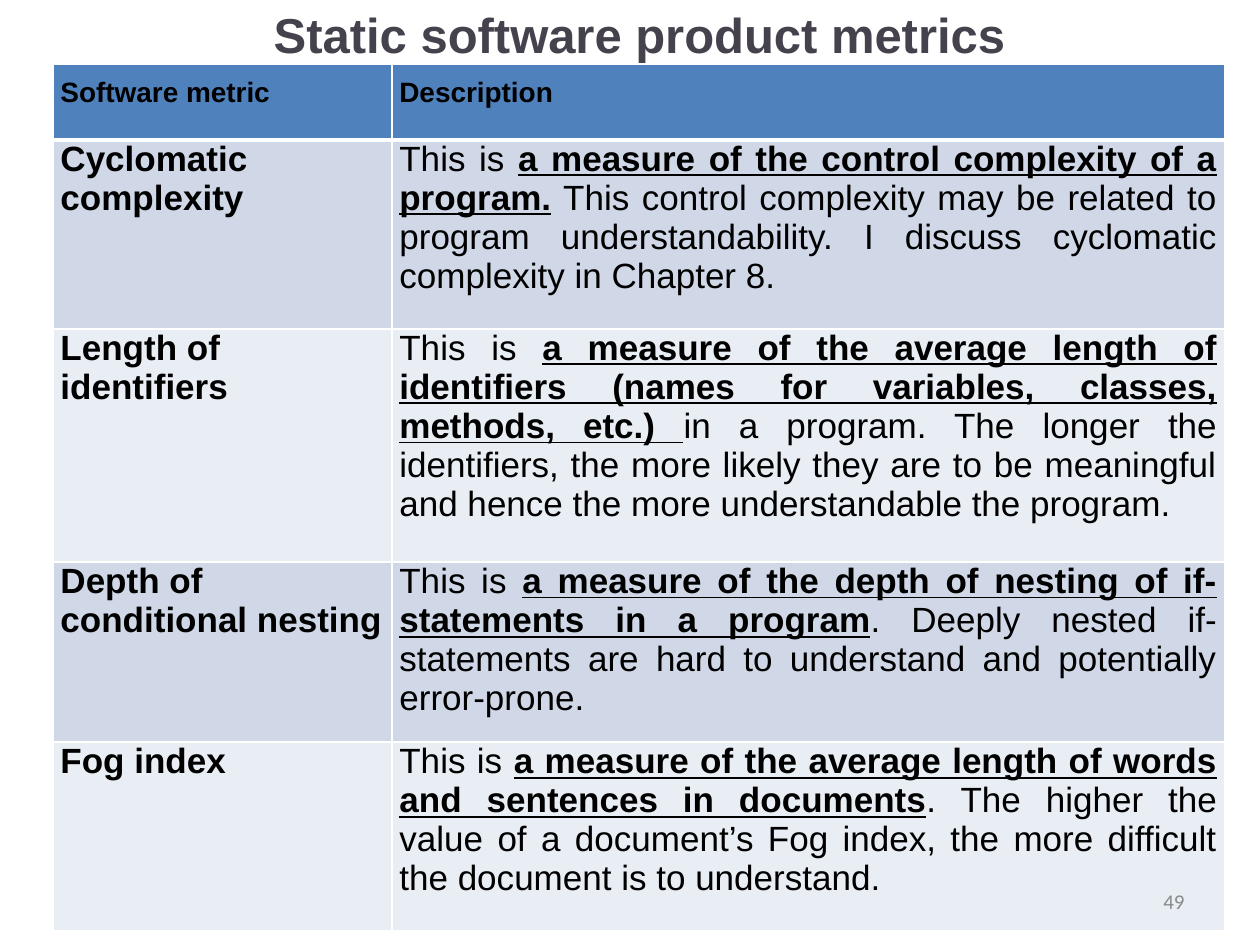
from dataclasses import dataclass
from typing import Any

from lxml import etree
from pptx import Presentation
from pptx.dml.color import RGBColor
from pptx.enum import text
from pptx.oxml import ns
from pptx.util import Inches, Pt

COLORS = {
    "title": "46424D", "body": "000000", "number": "898989", "border": "FFFFFF",
    "header": "4F81BD", "odd": "D0D8E8", "even": "E9EDF4",
}
PLAIN = {"bold": False, "underline": False}
BOLD = {"bold": True}
KEY = {"bold": True, "underline": True}
ALIGN = text.PP_ALIGN

COLUMN_WIDTHS = [2.69, 6.61]
ROW_HEIGHTS = [0.6, 1.5, 1.85, 1.43, 1.5]
HEADINGS = ["Software metric", "Description"]
# Metric, underlined definition, remaining explanation
METRICS = [
    ("Cyclomatic complexity",
     "a measure of the control complexity of a program.",
     " This control complexity may be related to program understandability. "
     "I discuss cyclomatic complexity in Chapter 8."),
    ("Length of identifiers",
     "a measure of the average length of identifiers (names for variables, "
     "classes, methods, etc.) ",
     "in a program. The longer the identifiers, the more likely they are to be "
     "meaningful and hence the more understandable the program."),
    ("Depth of conditional nesting",
     "a measure of the depth of nesting of if-statements in a program",
     ". Deeply nested if-statements are hard to understand and potentially "
     "error-prone."),
    ("Fog index",
     "a measure of the average length of words and sentences in documents",
     ". The higher the value of a document’s Fog index, the more difficult the "
     "document is to understand."),
]


@dataclass
class SlideBuilder:
    slide: Any
    font: str = "Arial"

    def add_runs(self, frame, runs, size, color, align, font=None):
        frame.word_wrap = True
        paragraph = frame.paragraphs[0]
        paragraph.alignment = align
        for words, style in runs:
            run = paragraph.add_run()
            run.text = words
            formats = {"name": font or self.font, "size": Pt(size), **style}
            for key, value in formats.items():
                setattr(run.font, key, value)
            run.font.color.rgb = RGBColor.from_string(COLORS[color])

    def place(self, shape, left, top, width, height):
        box = {"left": left, "top": top, "width": width, "height": height}
        for key, value in box.items():
            setattr(shape, key, Inches(value))

    def title(self, words, *box):
        heading = self.slide.shapes.title
        self.place(heading, *box)
        heading.text_frame.auto_size = text.MSO_AUTO_SIZE.NONE
        heading.text_frame.vertical_anchor = text.MSO_ANCHOR.MIDDLE
        self.add_runs(heading.text_frame, [(words, BOLD)], 28, "title", ALIGN.CENTER)

    def label(self, words, *box):
        number = self.slide.shapes.add_textbox(*map(Inches, box))
        number.text_frame.vertical_anchor = text.MSO_ANCHOR.MIDDLE
        self.add_runs(number.text_frame, [(words, PLAIN)], 12, "number",
                      ALIGN.RIGHT, "Calibri")

    def table(self, left, top, widths, heights):
        grid = self.slide.shapes.add_table(
            len(heights), len(widths), Inches(left), Inches(top),
            Inches(sum(widths)), Inches(sum(heights))).table
        for column, width in zip(grid.columns, widths):
            column.width = Inches(width)
        for row, height in zip(grid.rows, heights):
            row.height = Inches(height)
        return grid

    def cell(self, cell, runs, size, fill, align, top=0.0, bottom_line=1):
        margins = {"left": 0.06, "top": top, "right": 0.06, "bottom": 0.1}
        for side, value in margins.items():
            setattr(cell, f"margin_{side}", Inches(value))
        self.add_runs(cell.text_frame, runs, size, "body", align)
        cell.fill.solid()
        cell.fill.fore_color.rgb = RGBColor.from_string(COLORS[fill])
        # Borders come before the fill in the cell properties
        properties = cell._tc.get_or_add_tcPr()
        lines = {"L": 1, "R": 1, "T": 1, "B": bottom_line}
        for index, (side, width) in enumerate(lines.items()):
            line = etree.Element(ns.qn(f"a:ln{side}"), w=str(Pt(width)))
            solid = etree.SubElement(line, ns.qn("a:solidFill"))
            etree.SubElement(solid, ns.qn("a:srgbClr"), val=COLORS["border"])
            properties.insert(index, line)


def main():
    deck = Presentation()
    deck.slide_width, deck.slide_height = Inches(10), Inches(7.5)
    builder = SlideBuilder(deck.slides.add_slide(deck.slide_layouts[5]))

    builder.title("Static software product metrics", 0.43, 0.02, 9.29, 0.5)

    # Metrics table: header row, then banded rows
    grid = builder.table(0.42, 0.51, COLUMN_WIDTHS, ROW_HEIGHTS)
    for column, heading in enumerate(HEADINGS):
        builder.cell(grid.cell(0, column), [(heading, BOLD)], 16, "header",
                     ALIGN.JUSTIFY, top=0.1, bottom_line=3)
    for row, (metric, definition, explanation) in enumerate(METRICS, 1):
        band = "odd" if row % 2 else "even"
        description = [("This is ", PLAIN), (definition, KEY), (explanation, PLAIN)]
        builder.cell(grid.cell(row, 0), [(metric, BOLD)], 20, band, ALIGN.LEFT)
        builder.cell(grid.cell(row, 1), description, 20, band, ALIGN.JUSTIFY)

    # Slide number
    builder.label("49", 7.17, 6.95, 2.33, 0.4)

    deck.save("out.pptx")


if __name__ == "__main__":
    main()
